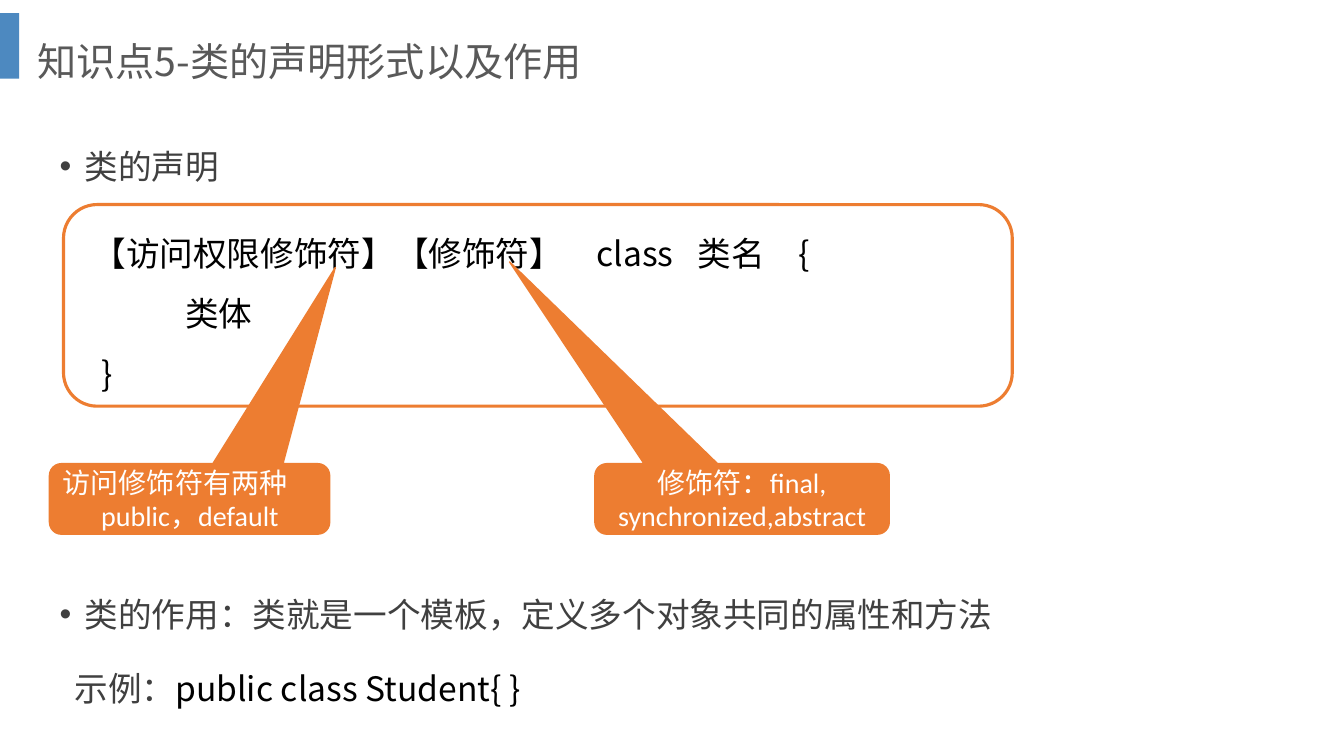
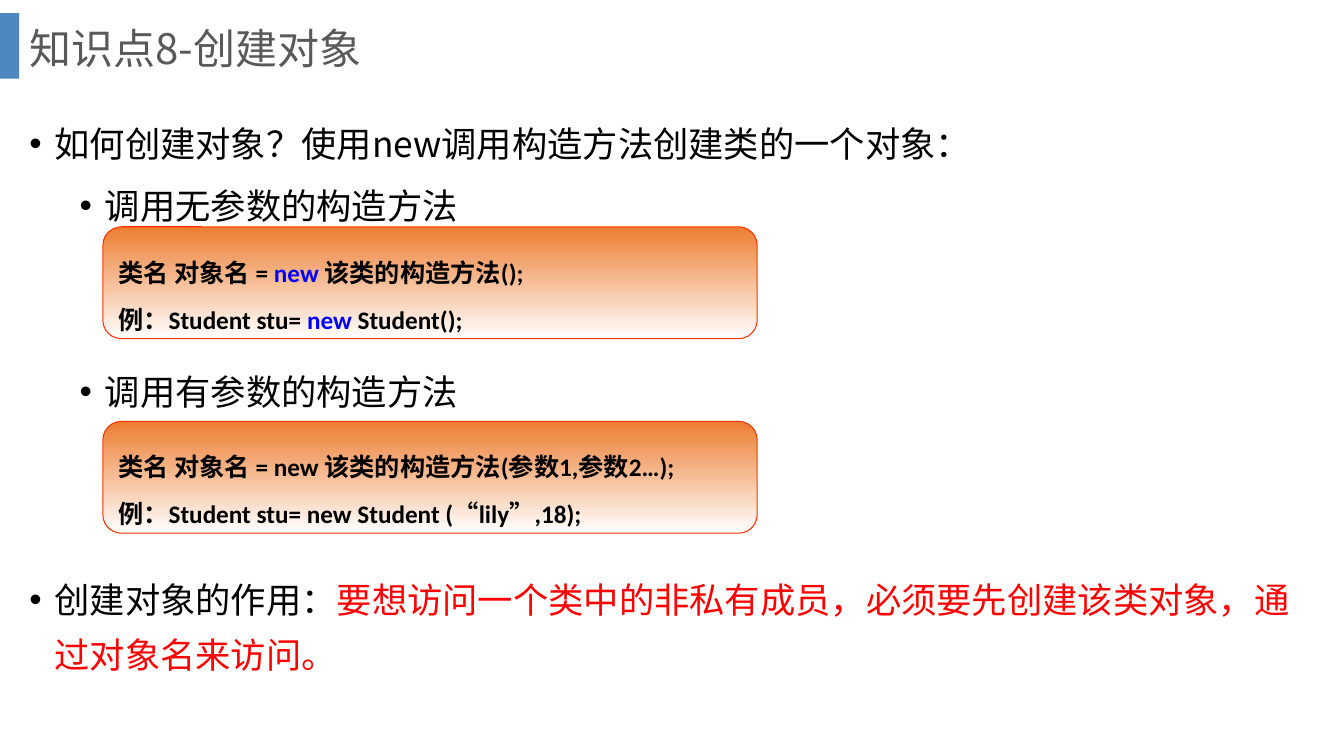
from lxml.etree import SubElement
from pptx import Presentation
from pptx.dml.color import RGBColor
from pptx.enum.shapes import MSO_SHAPE as Shape
from pptx.enum.text import MSO_ANCHOR as Anchor, MSO_AUTO_SIZE as AutoSize, PP_ALIGN as Align
from pptx.oxml.ns import qn
from pptx.util import Emu, Pt

EMU_PER_PX = 9144
COLORS = {
    "band": "2E75B6", "title": "595959", "body": "404040", "code": "000000",
    "accent": "ED7D31", "light": "FFFFFF", "outline": "FF3300",
    "keyword": "0000FF", "emphasis": "FF0000",
}
CJK, LATIN = "Noto Sans CJK SC", "Calibri"
TITLE = {"name": CJK, "size": Pt(28)}
LARGE_TITLE = {"name": CJK, "size": Pt(30)}
BODY = {"name": CJK, "size": Pt(24)}
LARGE_BODY = {"name": CJK, "size": Pt(25.2)}
CALLOUT = {"name": LATIN, "size": Pt(20)}
SYNTAX = {"name": LATIN, "size": Pt(18), "bold": True}


def px(length):
    return Emu(length * EMU_PER_PX)


def rgb(key):
    return RGBColor.from_string(COLORS[key])


def apply(target, formats):
    for attribute, value in formats.items():
        setattr(target, attribute, value)


def place(shape, box):
    apply(shape, dict(zip(("left", "top", "width", "height"), map(px, box))))


def line(*runs, before=0, after=0, left=0, hang=0, level=0, bullet=False, tabs=()):
    return {"runs": runs, "left": left, "hang": hang, "bullet": bullet, "tabs": tabs,
            "formats": {"level": level, "space_before": Pt(before), "space_after": Pt(after)}}


def bullet_line(*runs, before=0, left=25, level=0):
    return line(*runs, before=before, left=left, hang=25, level=level, bullet=True)


def write(frame, lines, font, pitch, align=Align.LEFT, anchor=Anchor.TOP):
    apply(frame, {"word_wrap": True, "auto_size": AutoSize.NONE, "vertical_anchor": anchor})
    for index, content in enumerate(lines):
        paragraph = frame.add_paragraph() if index else frame.paragraphs[0]
        apply(paragraph, {"alignment": align, "line_spacing": Pt(pitch), **content["formats"]})
        properties = paragraph._p.get_or_add_pPr()
        properties.set("marL", str(px(content["left"])))
        properties.set("indent", str(px(-content["hang"])))
        if content["bullet"]:
            SubElement(properties, qn("a:buFont"), typeface="Arial")
            SubElement(properties, qn("a:buChar"), char="•")
        else:
            SubElement(properties, qn("a:buNone"))
        if content["tabs"]:
            stops = SubElement(properties, qn("a:tabLst"))
            for stop in content["tabs"]:
                SubElement(stops, qn("a:tab"), pos=str(px(stop)), algn="l")
        for text, color in content["runs"]:
            run = paragraph.add_run()
            run.text = text
            apply(run.font, font)
            run.font.color.rgb = rgb(color)
            SubElement(run._r.get_or_add_rPr(), qn("a:ea"), typeface=CJK)


def add_panel(slide, preset, box, fill, outline, weight):
    panel = slide.shapes.add_shape(preset, *map(px, box))
    panel.shadow.inherit = False
    if fill:
        panel.fill.solid()
        panel.fill.fore_color.rgb = rgb(fill)
    else:
        panel.fill.background()
    if outline:
        panel.line.color.rgb = rgb(outline)
        panel.line.width = Pt(weight)
    else:
        panel.line.fill.background()
    return panel


def add_shared_band(slide):
    band = add_panel(slide, Shape.RECTANGLE, (0, 13, 19, 65), "band", None, 0)
    color = band.element.spPr.find(f"{qn('a:solidFill')}/{qn('a:srgbClr')}")
    SubElement(color, qn("a:alpha"), val="85000")
    band.element.nvSpPr.cNvPr.set("id", "99")
    slide.slide_layout.shapes.element.insert(2, band.element)


def add_title(slide, text, left, top, font):
    place(slide.shapes.title, (left, top, 1266, 93))
    write(slide.shapes.title.text_frame, [line((text, "title"))], font, 34, anchor=Anchor.MIDDLE)


def add_body(slide, box, lines, font, pitch):
    body = slide.placeholders[1]
    place(body, box)
    write(body.text_frame, lines, font, pitch)


def add_declaration(slide, left, top):
    code = slide.shapes.add_textbox(*map(px, (left + 19, top + 3, 897, 190)))
    write(code.text_frame, [
        line(("【访问权限修饰符】【修饰符】\tclass\t类名\t{", "code"), tabs=(497, 597, 685)),
        line(("类体", "code"), left=92),
        line(("}", "code"), left=9),
    ], BODY, 43)


def add_callout(slide, box, pointer, text, align, hang):
    callout = add_panel(slide, Shape.ROUNDED_RECTANGULAR_CALLOUT, box, "accent", "accent", 1)
    for index, value in enumerate((*pointer, 0.17)):
        callout.adjustments[index] = value
    write(callout.text_frame, [line((text, "light"), left=hang, hang=hang)],
          CALLOUT, 24, align, Anchor.MIDDLE)


def add_syntax_box(slide, left, top, lines):
    box = add_panel(slide, Shape.ROUNDED_RECTANGLE, (left, top, 649, 111),
                    "accent", "outline", 0.75)
    box.fill.gradient()
    box.fill.gradient_angle = 270
    for stop, color, position in zip(box.fill.gradient_stops, ("accent", "light"), (0, 1)):
        stop.color.rgb = rgb(color)
        stop.position = position
    box.text_frame.margin_top = px(13)
    write(box.text_frame, [line(*runs, after=3.6) for runs in lines], SYNTAX, 30)


def build_declaration_slide(slide):
    add_title(slide, "知识点5-类的声明形式以及作用", 27, 14, TITLE)
    add_body(slide, (49, 120, 1205, 590), [
        bullet_line(("类的声明", "body")),
        bullet_line(("类的作用：类就是一个模板，定义多个对象共同的属性和方法", "body"), before=277),
        line(("示例：", "body"), ("public class Student{ }", "code"), before=10, left=15),
    ], BODY, 43)
    left, top = 63, 203
    add_declaration(slide, left, top)
    add_callout(slide, (49, 460, 278, 70), (0.52, -3.28),
                "访问修饰符有两种public，default", Align.LEFT, 38)
    add_callout(slide, (590, 460, 292, 70), (-0.79, -3.36),
                "修饰符：final, synchronized,abstract", Align.CENTER, 0)
    add_panel(slide, Shape.ROUNDED_RECTANGLE, (left, top, 941, 200), None, "accent", 2.25)


def build_creation_slide(slide):
    add_title(slide, "知识点8-创建对象", 19, 2, LARGE_TITLE)
    add_body(slide, (19, 104, 1290, 593), [
        bullet_line(("如何创建对象？使用new调用构造方法创建类的一个对象：", "code")),
        bullet_line(("调用无参数的构造方法", "code"), before=5, left=75, level=1),
        bullet_line(("调用有参数的构造方法", "code"), before=94, left=75, level=1),
        bullet_line(("创建对象的作用：", "code"),
                    ("要想访问一个类中的非私有成员，必须要先创建该类对象，通过对象名来访问。", "emphasis"),
                    before=110),
    ], LARGE_BODY, 39)
    keyword = ("new ", "keyword")
    add_syntax_box(slide, 102, 225, [
        [("类名 对象名 = ", "code"), keyword, ("该类的构造方法();", "code")],
        [("例：Student stu= ", "code"), keyword, ("Student();", "code")],
    ])
    add_syntax_box(slide, 102, 418, [
        [("类名 对象名 = new 该类的构造方法(参数1,参数2…);", "code")],
        [("例：Student stu= new Student (“lily”,18);", "code")],
    ])


def main():
    deck = Presentation()
    apply(deck, {"slide_width": px(1333), "slide_height": px(750)})
    layout = deck.slide_layouts[1]
    builders = (build_declaration_slide, build_creation_slide)
    slides = [deck.slides.add_slide(layout) for _ in builders]
    add_shared_band(slides[0])
    for build, slide in zip(builders, slides):
        build(slide)
    deck.save("out.pptx")


if __name__ == "__main__":
    main()
